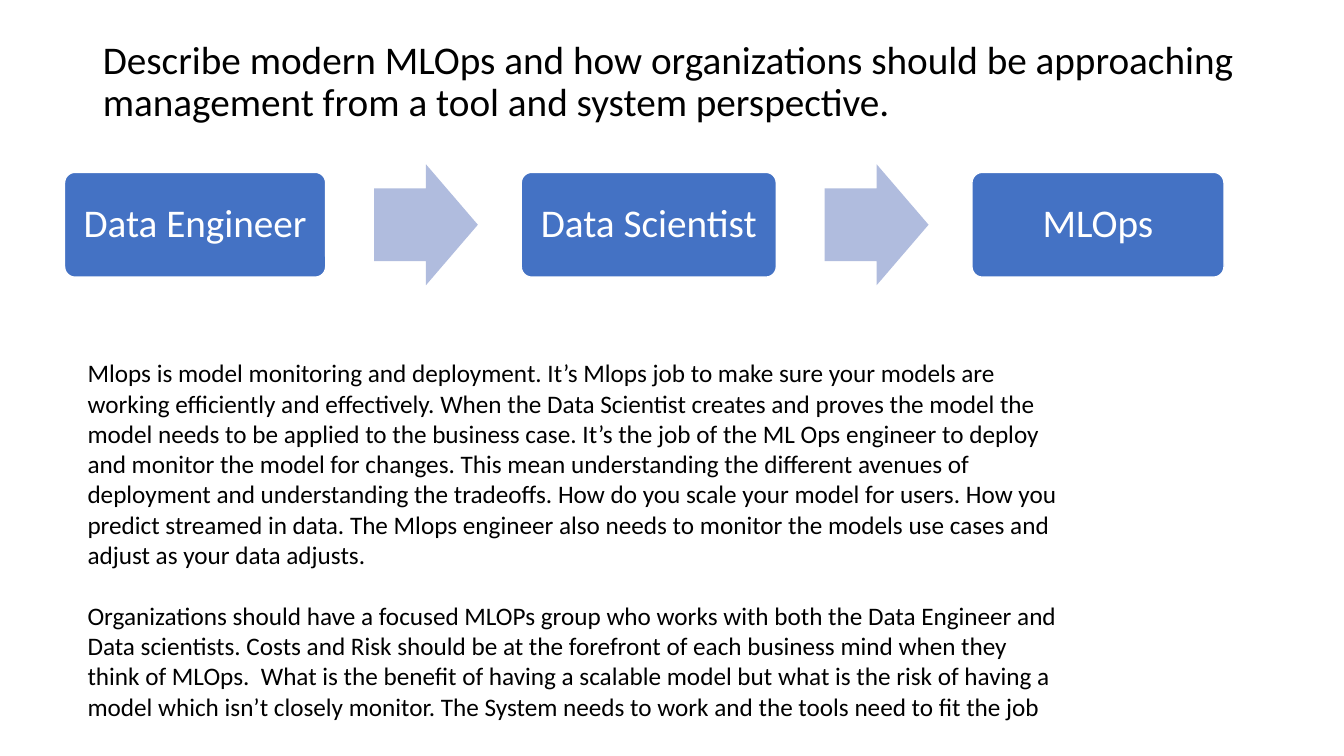
import dataclasses

import pptx
import pptx.dml.color
import pptx.enum.shapes
import pptx.enum.text
import pptx.util


@dataclasses.dataclass(frozen=True)
class Theme:
    font: str = "Calibri"
    ink: str = "000000"
    paper: str = "FFFFFF"
    box: str = "4472C4"
    arrow: str = "B0BCDE"
    heading_size: int = 28
    body_size: int = 18


theme = Theme()
Inches = pptx.util.Inches
Shapes = pptx.enum.shapes.MSO_SHAPE
Anchor = pptx.enum.text.MSO_ANCHOR
Align = pptx.enum.text.PP_ALIGN


def rgb(value):
    return pptx.dml.color.RGBColor.from_string(value)


def write(frame, text, size, color, align, spacing):
    frame.text = text
    frame.word_wrap = True
    frame.auto_size = pptx.enum.text.MSO_AUTO_SIZE.NONE
    for para in frame.paragraphs:
        para.alignment = align
        para.line_spacing = spacing
        for span in para.runs:
            span.font.name = theme.font
            span.font.size = pptx.util.Pt(size)
            span.font.color.rgb = rgb(color)


deck = pptx.Presentation()
deck.slide_width = Inches(13.33)
deck.slide_height = Inches(7.5)
page = deck.slides.add_slide(deck.slide_layouts[5])

title = page.shapes.title
title.left, title.top = Inches(0.92), Inches(0.4)
title.width, title.height = Inches(11.5), Inches(1.45)
write(
    title.text_frame,
    "Describe modern MLOps and how organizations should be approaching "
    "management from a tool and system perspective.",
    theme.heading_size, theme.ink, Align.LEFT, 0.9,
)
title.text_frame.vertical_anchor = Anchor.TOP
title.text_frame.margin_top = 0

roles = [("Data Engineer", 2.59), ("Data Scientist", 2.53), ("MLOps", 2.5)]
flow_middle = 2.23
box_height = 1.04
arrow_width, arrow_height = 1.03, 1.2
gap_before_arrow, gap_after_arrow = 0.48, 0.43

left = 0.64
for index, (role, box_width) in enumerate(roles):
    if index:
        left += gap_before_arrow
        arrow = page.shapes.add_shape(
            Shapes.RIGHT_ARROW, Inches(left), Inches(flow_middle - arrow_height / 2),
            Inches(arrow_width), Inches(arrow_height),
        )
        arrow.adjustments[0] = 0.6
        arrow.adjustments[1] = 0.5
        arrow.shadow.inherit = False
        arrow.fill.solid()
        arrow.fill.fore_color.rgb = rgb(theme.arrow)
        arrow.line.fill.background()
        left += arrow_width + gap_after_arrow

    box = page.shapes.add_shape(
        Shapes.ROUNDED_RECTANGLE, Inches(left), Inches(flow_middle - box_height / 2),
        Inches(box_width), Inches(box_height),
    )
    box.adjustments[0] = 0.1
    box.shadow.inherit = False
    box.fill.solid()
    box.fill.fore_color.rgb = rgb(theme.box)
    box.line.color.rgb = rgb(theme.paper)
    box.line.width = pptx.util.Pt(1)
    write(box.text_frame, role, theme.heading_size, theme.paper, Align.CENTER, 0.9)
    box.text_frame.vertical_anchor = Anchor.MIDDLE
    left += box_width

mlops_job = (
    "Mlops is model monitoring and deployment. It’s Mlops job to make sure your "
    "models are working efficiently and effectively. When the Data Scientist creates "
    "and proves the model the model needs to be applied to the business case. It’s the "
    "job of the ML Ops engineer to deploy and monitor the model for changes. This mean "
    "understanding the different avenues of deployment and understanding the tradeoffs. "
    "How do you scale your model for users. How you predict streamed in data. The Mlops "
    "engineer also needs to monitor the models use cases and adjust as your data adjusts."
)
organization_advice = (
    "Organizations should have a focused MLOPs group who works with both the Data "
    "Engineer and Data scientists. Costs and Risk should be at the forefront of each "
    "business mind when they think of MLOps.  What is the benefit of having a scalable "
    "model but what is the risk of having a model which isn’t closely monitor. The "
    "System needs to work and the tools need to fit the job"
)
body = page.shapes.add_textbox(Inches(0.77), Inches(3.5), Inches(9.83), Inches(3.74))
write(
    body.text_frame, "\n".join([mlops_job, organization_advice]),
    theme.body_size, theme.ink, Align.LEFT, 1.0,
)
body.text_frame.paragraphs[0].space_after = pptx.util.Pt(22)

deck.save("out.pptx")
